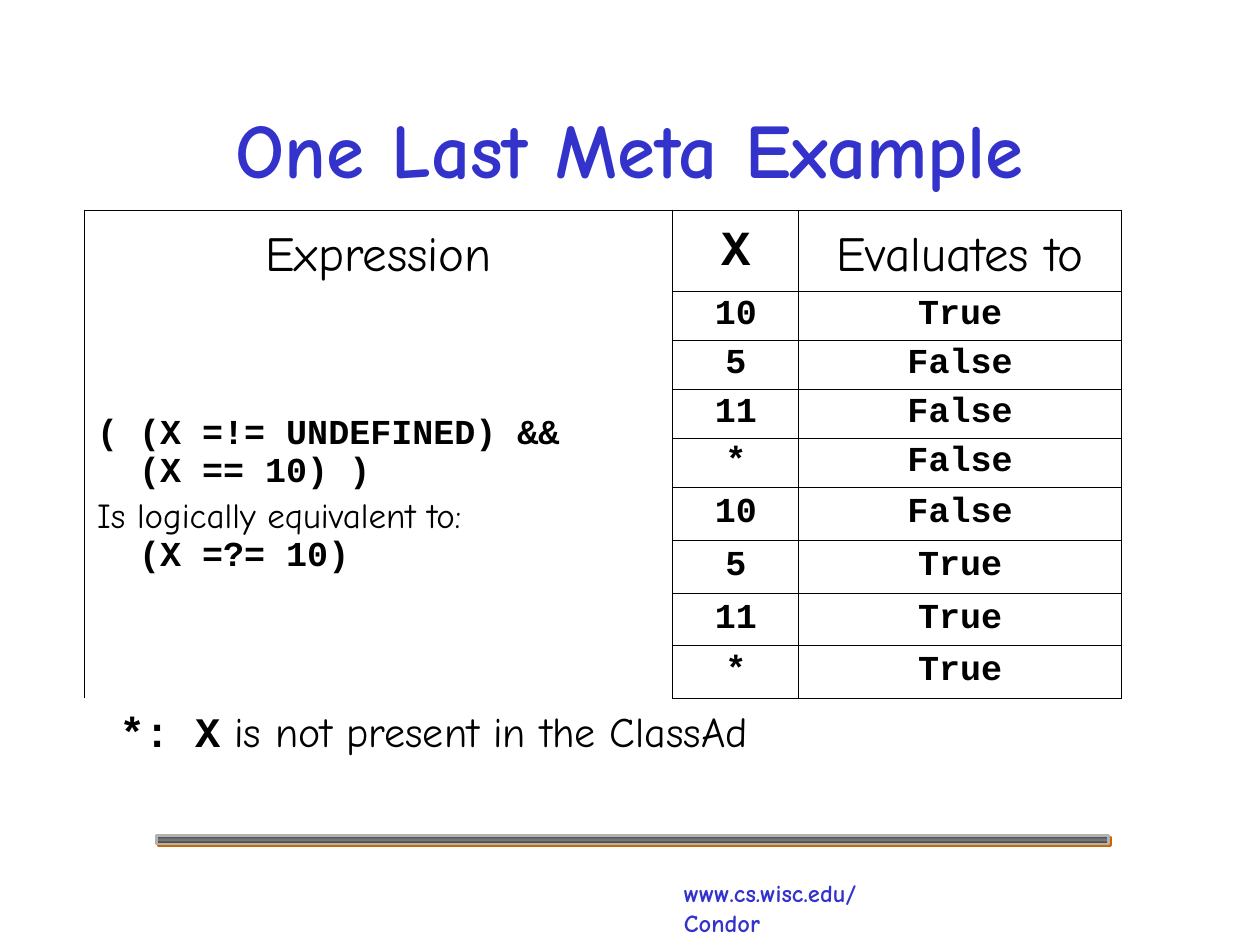
from collections import namedtuple

from lxml.etree import SubElement
from pptx import Presentation
from pptx.dml.color import RGBColor as Rgb
from pptx.enum.shapes import MSO_SHAPE as Preset
from pptx.enum.text import MSO_ANCHOR as Anchor, PP_ALIGN as Align
from pptx.oxml.ns import qn
from pptx.util import Inches, Pt

Box = namedtuple("Box", "left top width height")
UNIT = Inches(0.25)
COLUMNS, ROWS = 40, 30
COLORS = {"blue": "3333CC", "ink": "000000", "silver": "B2B2B2",
          "dark": "363636", "steel": "777777", "orange": "CC6600"}
HAND, CODE = "Comic Neue", "Courier New"
COLUMN_WEIGHTS = (4.67, 1, 2.56)
ROW_WEIGHTS = (0.64,) + (0.39,) * 4 + (0.42,) * 4
THIN, THICK = 0.45, 1.08
X_VALUES = ("10", "5", "11", "*") * 2
RESULTS = ("True",) + ("False",) * 4 + ("True",) * 3


def grid(left, top, width, height):
    """Return a box measured in grid columns and rows."""
    return Box(*(round(UNIT * length) for length in (left, top, width, height)))


def write(paragraph, text, font=HAND, size=20, color="ink", bold=False,
          align=Align.LEFT, spacing=1.0):
    """Append formatted text to a paragraph."""
    paragraph.alignment = align
    paragraph.line_spacing = spacing
    run = paragraph.add_run()
    run.text = text
    run.font.name = font
    run.font.size = Pt(size)
    run.font.bold = bold
    run.font.color.rgb = Rgb.from_string(COLORS[color])


def add_frame(slide, box, wrap=False, anchor=Anchor.TOP):
    """Add a text box and return its first paragraph."""
    frame = slide.shapes.add_textbox(*box).text_frame
    frame.word_wrap = wrap
    frame.vertical_anchor = anchor
    return frame.paragraphs[0]


def add_title(slide, box):
    """Place the slide title."""
    write(add_frame(slide, box, wrap=True, anchor=Anchor.MIDDLE),
          "One Last Meta Example", size=44, color="blue", bold=True, align=Align.CENTER)


def add_color(parent, color):
    """Append a solid colour element."""
    SubElement(parent, qn("a:srgbClr"), val=COLORS[color])


def add_footer(slide, box, address_box):
    """Place the metallic rule and the web address."""
    rule = slide.shapes.add_shape(Preset.RECTANGLE, *box)
    rule.line.color.rgb = Rgb.from_string(COLORS["silver"])
    rule.line.width = Pt(1.5)
    rule.fill.gradient()
    rule.fill.gradient_angle = 90
    properties = rule.element.spPr
    stops = properties.find(".//" + qn("a:gsLst"))
    for stop in list(stops):
        stops.remove(stop)
    for position, color in ((0, "dark"), (50000, "steel"), (100000, "dark")):
        add_color(SubElement(stops, qn("a:gs"), pos=str(position)), color)
    rule.shadow.inherit = False
    add_color(SubElement(properties.find(qn("a:effectLst")), qn("a:outerShdw"),
                         blurRad="0", dist=str(Pt(1.4)), dir="2700000"), "orange")
    write(add_frame(slide, address_box), "www.cs.wisc.edu/Condor",
          size=14, color="blue", bold=True)


def set_borders(cell, **widths):
    """Draw cell borders; a width of zero hides that side."""
    properties = cell._tc.get_or_add_tcPr()
    for index, side in enumerate(("left", "right", "top", "bottom")):
        width = widths[side]
        line = SubElement(properties, qn("a:ln" + side[0].upper()), w=str(Pt(width)))
        if width:
            add_color(SubElement(line, qn("a:solidFill")), "ink")
        else:
            SubElement(line, qn("a:noFill"))
        properties.remove(line)
        properties.insert(index, line)


def write_expression(cell):
    """Fill the merged cell with the two equivalent expressions."""
    lines = (("( (X =!= UNDEFINED) &&", True), ("  (X == 10) )", True),
             ("Is logically equivalent to:", False), ("  (X =?= 10)", True))
    frame = cell.text_frame
    for index, (text, is_code) in enumerate(lines):
        paragraph = frame.add_paragraph() if index else frame.paragraphs[0]
        write(paragraph, text, font=CODE if is_code else HAND, bold=is_code,
              spacing=0.94 if is_code else 1.16)


def add_truth_table(slide, box):
    """Place the table of expression, X and result."""
    last_row, last_column = len(ROW_WEIGHTS) - 1, len(COLUMN_WEIGHTS) - 1
    table = slide.shapes.add_table(last_row + 1, last_column + 1, *box).table
    table.first_row = table.horz_banding = False
    for column, weight in zip(table.columns, COLUMN_WEIGHTS):
        column.width = round(box.width * weight / sum(COLUMN_WEIGHTS))
    for row, weight in zip(table.rows, ROW_WEIGHTS):
        row.height = round(box.height * weight / sum(ROW_WEIGHTS))
    for r in range(last_row + 1):
        for c in range(last_column + 1):
            cell = table.cell(r, c)
            cell.fill.background()
            cell.vertical_anchor = Anchor.MIDDLE
            inner = THIN if c else 0
            set_borders(cell, left=THIN if c else THICK,
                        right=THICK if c == last_column else THIN,
                        top=inner if r else THICK,
                        bottom=inner if r < last_row else THICK if c else THIN)
    table.cell(1, 0).merge(table.cell(last_row, 0))
    write_expression(table.cell(1, 0))
    for c, heading in enumerate(("Expression", "X", "Evaluates to")):
        is_code = heading == "X"
        write(table.cell(0, c).text_frame.paragraphs[0], heading, size=28,
              font=CODE if is_code else HAND, bold=is_code, align=Align.CENTER,
              spacing=0.94 if is_code else 1.16)
    for r, values in enumerate(zip(X_VALUES, RESULTS), start=1):
        for c, value in enumerate(values, start=1):
            write(table.cell(r, c).text_frame.paragraphs[0], value, font=CODE,
                  bold=True, align=Align.CENTER, spacing=0.75)


def add_note(slide, box):
    """Place the note that explains the asterisk."""
    note = add_frame(slide, box)
    write(note, "*: X", font=CODE, size=24, bold=True, spacing=0.8)
    write(note, " is not present in the ClassAd", size=24, spacing=0.8)


def main():
    """Build and save the slide."""
    deck = Presentation()
    deck.slide_width, deck.slide_height = UNIT * COLUMNS, UNIT * ROWS
    slide = deck.slides.add_slide(deck.slide_layouts[6])
    add_footer(slide, grid(4.96, 26.52, 30.24, 0.28), grid(21.32, 27.68, 8.68, 1.36))
    add_title(slide, grid(3, 2.68, 34, 4))
    add_truth_table(slide, grid(2.68, 6.68, 32.92, 15.48))
    add_note(slide, grid(3.4, 22.52, 21.16, 1.68))
    deck.save("out.pptx")


if __name__ == "__main__":
    main()
